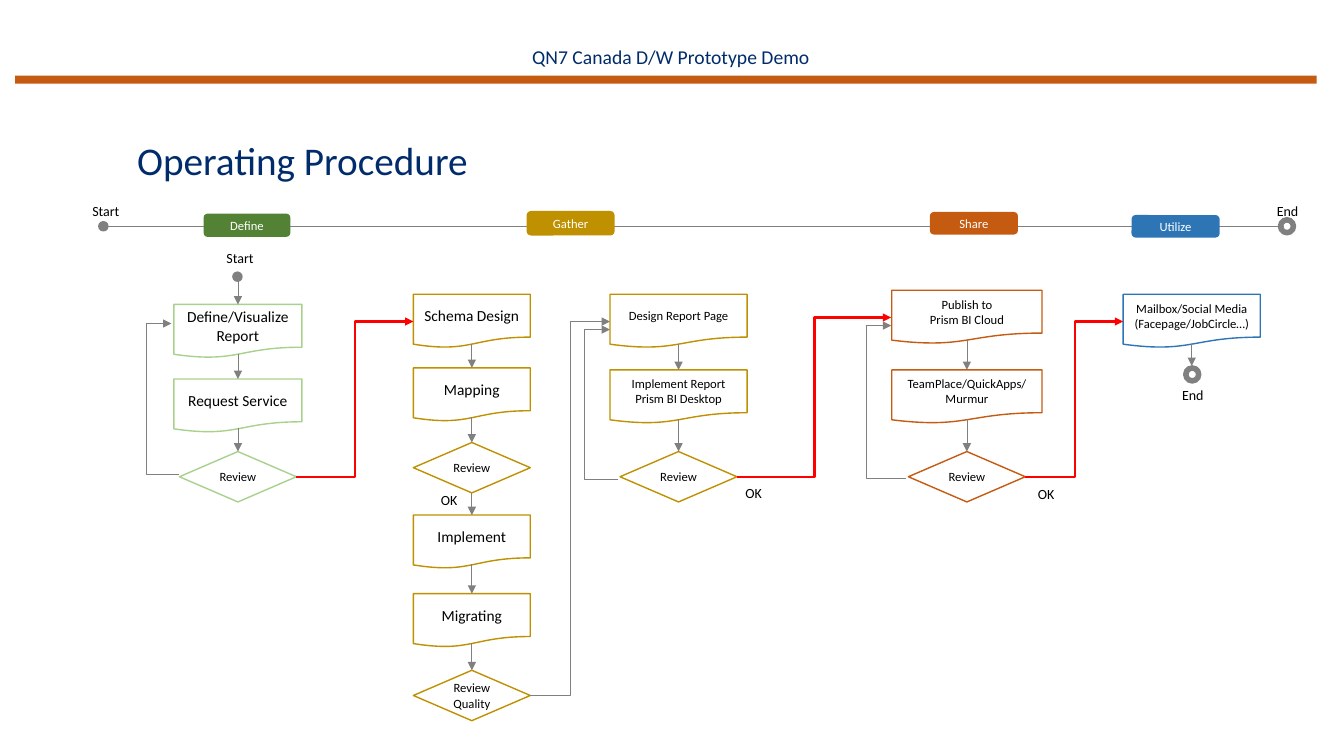
from lxml.etree import SubElement
from pptx import Presentation
from pptx.dml.color import RGBColor
from pptx.enum.shapes import MSO_CONNECTOR, MSO_SHAPE
from pptx.enum.text import MSO_ANCHOR, PP_ALIGN
from pptx.oxml.ns import qn
from pptx.util import Inches, Pt

NAVY = RGBColor(0x00, 0x2C, 0x6C)
BLACK = RGBColor(0x00, 0x00, 0x00)
WHITE = RGBColor(0xFF, 0xFF, 0xFF)
GRAY = RGBColor(0x80, 0x80, 0x80)
RED = RGBColor(0xFF, 0x00, 0x00)
GREEN = RGBColor(0x54, 0x82, 0x35)
LIGHT_GREEN = RGBColor(0xA9, 0xD1, 0x8E)
GOLD = RGBColor(0xBF, 0x90, 0x00)
ORANGE = RGBColor(0xC5, 0x5A, 0x11)
BLUE = RGBColor(0x2E, 0x75, 0xB6)

TOP, LEFT, BOTTOM, RIGHT = range(4)
DOCUMENT_HEIGHT = 0.53
DOCUMENT_EDGE = 0.49  # where the wavy lower edge crosses the centre
DECISION_WIDTH, DECISION_HEIGHT = 1.16, 0.5


class FlowSlide:
    font = "Calibri"

    def __init__(self, deck):
        self.page = deck.slides.add_slide(deck.slide_layouts[5])

    def add_text(self, frame, text, size, color, align=PP_ALIGN.CENTER):
        for index, line in enumerate(text.split("\n")):
            para = frame.paragraphs[0] if index == 0 else frame.add_paragraph()
            para.alignment = align
            span = para.add_run()
            span.text = line
            span.font.name = self.font
            span.font.size = Pt(size)
            span.font.color.rgb = color

    def title(self, text, left, top, width, height):
        box = self.page.shapes.title
        box.left, box.top = Inches(left), Inches(top)
        box.width, box.height = Inches(width), Inches(height)
        box.text_frame.vertical_anchor = MSO_ANCHOR.TOP
        self.add_text(box.text_frame, text, 28, NAVY, PP_ALIGN.LEFT)

    def label(self, text, left, top, width, height=0.27, size=10,
              color=BLACK, align=PP_ALIGN.CENTER):
        box = self.page.shapes.add_textbox(
            Inches(left), Inches(top), Inches(width), Inches(height))
        box.text_frame.word_wrap = align == PP_ALIGN.LEFT
        self.add_text(box.text_frame, text, size, color, align)

    def shape(self, kind, left, top, width, height, fill=None, line=None):
        box = self.page.shapes.add_shape(
            kind, Inches(left), Inches(top), Inches(width), Inches(height))
        box.shadow.inherit = False
        if fill is None:
            box.fill.background()
        else:
            box.fill.solid()
            box.fill.fore_color.rgb = fill
        if line is None:
            box.line.fill.background()
        else:
            box.line.color.rgb = line
            box.line.width = Pt(1)
        return box

    def caption(self, box, text, size, color=BLACK, inset=0.08):
        frame = box.text_frame
        frame.word_wrap = True
        frame.vertical_anchor = MSO_ANCHOR.MIDDLE
        frame.margin_left = frame.margin_right = Inches(inset)
        frame.margin_top = frame.margin_bottom = 0
        self.add_text(frame, text, size, color)

    def dot(self, left, top):
        return self.shape(MSO_SHAPE.FLOWCHART_CONNECTOR, left, top, 0.09, 0.09, GRAY, GRAY)

    def ring(self, left, top):
        return self.shape(MSO_SHAPE.DONUT, left, top, 0.17, 0.17, GRAY, GRAY)

    def connector(self, start, end, bend=None, color=GRAY, weight=0.5,
                  arrow=True, source=None, target=None):
        """Draw a line; bend is the x of the elbow, source and target are (box, site)."""
        kind = MSO_CONNECTOR.STRAIGHT if bend is None else MSO_CONNECTOR.ELBOW
        points = [Inches(value) for value in (*start, *end)]
        link = self.page.shapes.add_connector(kind, *points)
        if source:
            link.begin_connect(*source)
        if target:
            link.end_connect(*target)
        link.begin_x, link.begin_y, link.end_x, link.end_y = points
        link.line.color.rgb = color
        link.line.width = Pt(weight)
        properties = link._element.spPr
        SubElement(properties, qn("a:effectLst"))
        if arrow:
            SubElement(properties.find(qn("a:ln")), qn("a:tailEnd"), type="triangle")
        if bend is not None:
            ratio = (bend - start[0]) / (end[0] - start[0])
            guides = properties.find(qn("a:prstGeom")).get_or_add_avLst()
            SubElement(guides, qn("a:gd"), name="adj1", fmla=f"val {round(ratio * 100000)}")

    def column(self, center, width, color, size, documents, decisions=()):
        """Stack the steps, given as (top, text), and join each to the next."""
        steps = sorted([(top, text, False) for top, text in documents]
                       + [(top, text, True) for top, text in decisions])
        boxes, previous, edge = [], None, 0
        for top, text, is_decision in steps:
            if is_decision:
                box = self.shape(MSO_SHAPE.FLOWCHART_DECISION, center - DECISION_WIDTH / 2,
                                 top, DECISION_WIDTH, DECISION_HEIGHT, line=color)
                self.caption(box, text, 9, inset=0.02)
            else:
                box = self.shape(MSO_SHAPE.FLOWCHART_DOCUMENT, center - width / 2,
                                 top, width, DOCUMENT_HEIGHT, line=color)
                self.caption(box, text, size)
            if previous is not None:
                self.connector((center, edge), (center, top),
                               source=(previous, BOTTOM), target=(box, TOP))
            boxes.append(box)
            previous = box
            edge = top + (DECISION_HEIGHT if is_decision else DOCUMENT_EDGE)
        return boxes


def main():
    deck = Presentation()
    deck.slide_width, deck.slide_height = Inches(13.33), Inches(7.5)
    slide = FlowSlide(deck)

    slide.title("Operating Procedure", 1.26, 1.3, 5.19, 0.57)
    slide.label("QN7 Canada D/W Prototype Demo", 5.18, 0.4, 3.75, 0.34,
                14, NAVY, PP_ALIGN.LEFT)
    slide.shape(MSO_SHAPE.RECTANGLE, 0.15, 0.75, 12.91, 0.08, ORANGE)

    # Timeline
    slide.connector((0.98, 2.25), (12.73, 2.25), arrow=False)
    for text, left, top, height, color, outline in (
            ("Define", 2.02, 2.12, 0.23, GREEN, None),
            ("Gather", 5.23, 2.1, 0.23, GOLD, GOLD),
            ("Share", 9.23, 2.11, 0.21, ORANGE, ORANGE),
            ("Utilize", 11.23, 2.14, 0.21, BLUE, BLUE)):
        stage = slide.shape(MSO_SHAPE.ROUNDED_RECTANGLE, left, top, 0.86, height,
                            color, outline)
        slide.caption(stage, text, 9, WHITE)
    slide.dot(0.98, 2.2)
    slide.ring(12.68, 2.16)

    # Steps of each stage
    define = slide.column(2.36, 1.27, LIGHT_GREEN, 11,
                          [(3.02, "Define/Visualize\nReport"), (3.76, "Request Service")],
                          [(4.48, "Review")])
    gather = slide.column(4.68, 1.16, GOLD, 11,
                          [(2.92, "Schema Design"), (3.65, "Mapping"),
                           (5.11, "Implement"), (5.89, "Migrating")],
                          [(4.39, "Review"), (6.65, "Review Quality")])
    report = slide.column(6.73, 1.36, GOLD, 9,
                          [(2.92, "Design Report Page"),
                           (3.67, "Implement Report Prism BI Desktop")],
                          [(4.48, "Review")])
    share = slide.column(9.59, 1.49, ORANGE, 9,
                         [(2.88, "Publish to\nPrism BI Cloud"),
                          (3.67, "TeamPlace/QuickApps/\nMurmur")],
                         [(4.48, "Review")])
    utilize = slide.column(11.82, 1.36, BLUE, 9,
                           [(2.92, "Mailbox/Social Media\n(Facepage/JobCircle…)")])

    # Entry and exit
    slide.dot(2.31, 2.7)
    slide.connector((2.36, 2.79), (2.36, 3.02), target=(define[0], TOP))
    finish = slide.ring(11.74, 3.63)
    slide.connector((11.82, 3.41), (11.82, 3.63),
                    source=(utilize[0], BOTTOM), target=(finish, TOP))

    # Hand-over to the next stage
    for source, target, start, end, bend, color, weight in (
            (define, gather, (2.94, 4.73), (4.1, 3.19), 3.52, RED, 1.5),
            (gather, report, (5.26, 6.9), (6.05, 3.19), 5.66, GRAY, 0.5),
            (report, share, (7.31, 4.73), (8.84, 3.15), 8.08, RED, 1.5),
            (share, utilize, (10.17, 4.73), (11.14, 3.19), 10.66, RED, 1.5)):
        slide.connector(start, end, bend, color, weight,
                        source=(source[-1], RIGHT), target=(target[0], LEFT))

    # Loops back after a review
    for start, end, bend in (
            ((1.78, 4.71), (1.7, 3.21), 1.45),
            ((6.13, 4.76), (6.05, 3.27), 5.8),
            ((8.99, 4.75), (8.84, 3.23), 8.59)):
        slide.connector(start, end, bend)

    for text, left, top, width in (
            ("Start", 0.81, 1.96, 0.48), ("End", 12.56, 1.96, 0.42),
            ("Start", 2.14, 2.43, 0.48), ("End", 11.62, 3.79, 0.42),
            ("OK", 4.27, 4.83, 0.37), ("OK", 7.29, 4.76, 0.37),
            ("OK", 10.19, 4.77, 0.37)):
        slide.label(text, left, top, width)

    deck.save("out.pptx")


if __name__ == "__main__":
    main()
